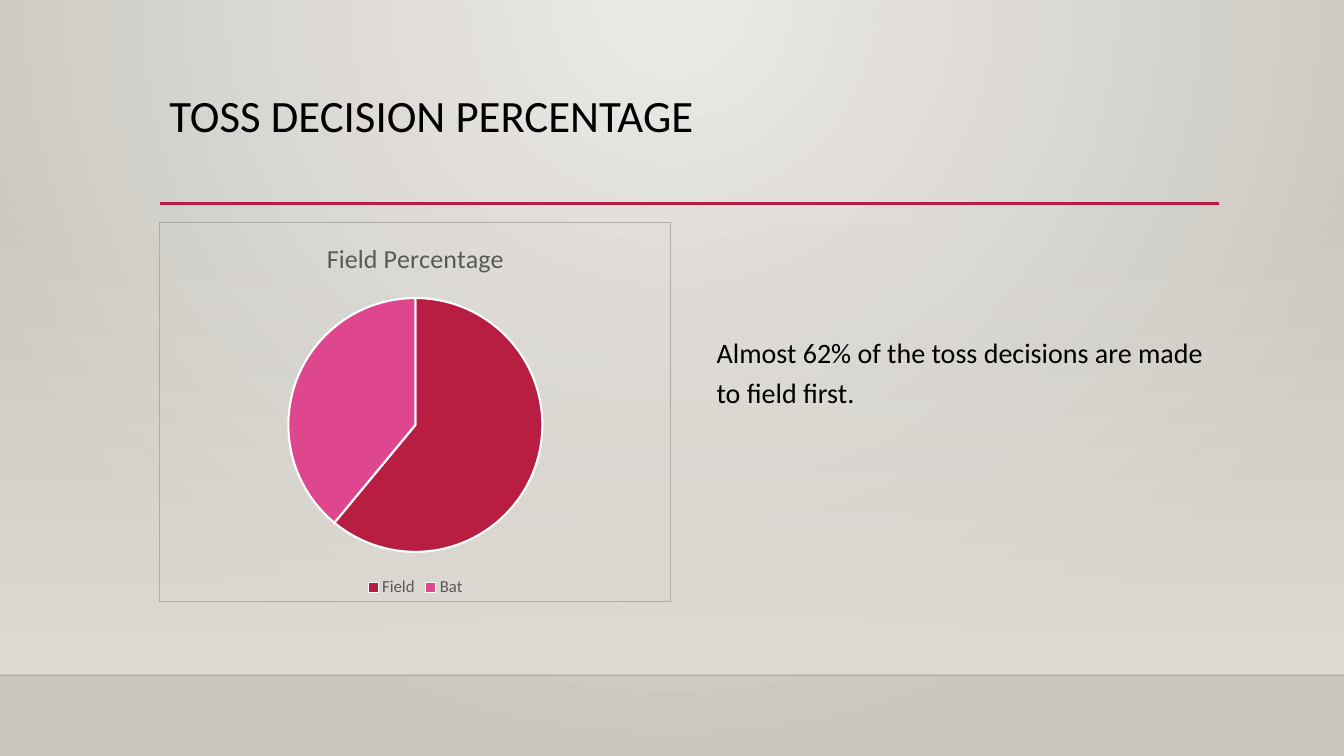
"""Build the toss decision slide with its pie chart and takeaway."""
from lxml import etree
from pptx import Presentation
from pptx import util as u
from pptx.chart.data import CategoryChartData
from pptx.dml.color import RGBColor
from pptx.enum import chart as ch, shapes, text
from pptx.oxml import parse_xml
from pptx.oxml.ns import nsdecls, qn


def colour(hex_code):
    return RGBColor.from_string(hex_code)


class Slide:
    font = "Calibri"
    ink = "000000"
    grey = "595959"
    accent = "B71E42"

    def __init__(self, deck):
        self.slide = deck.slides.add_slide(deck.slide_layouts[5])

    def style(self, font, size, hex_code):
        font.name, font.size = self.font, u.Pt(size)
        font.color.rgb = colour(hex_code)

    def gradient(self, fill, *hex_codes):
        fill.gradient()
        for position, (stop, hex_code) in enumerate(zip(fill.gradient_stops, hex_codes)):
            stop.color.rgb = colour(hex_code)
            stop.position = position

    def alpha(self, element, percent):
        tint = next(element.iter(qn("a:srgbClr")))
        etree.SubElement(tint, qn("a:alpha")).set("val", str(percent * 1000))

    def backdrop(self, centre, edge):
        self.gradient(self.slide.background.fill, centre, edge)
        grad = next(self.slide.element.iter(qn("a:gradFill")))
        grad.replace(grad.find(qn("a:lin")), parse_xml(
            f'<a:path {nsdecls("a")} path="circle">'
            '<a:fillToRect l="43000" t="0" r="43000" b="100000"/></a:path>'))

    def haze(self, hex_code, *box):
        haze = self.slide.shapes.add_shape(shapes.MSO_SHAPE.RECTANGLE, *map(u.Pt, box))
        haze.shadow.inherit = False
        haze.line.fill.background()
        self.gradient(haze.fill, hex_code, hex_code)
        haze.fill.gradient_angle = 270
        self.alpha(haze.element.spPr, 0)

    def rule(self, left, right, y, hex_code, width, opacity=100):
        rule = self.slide.shapes.add_connector(
            shapes.MSO_CONNECTOR.STRAIGHT, *map(u.Pt, (left, y, right, y)))
        rule.line.color.rgb = colour(hex_code)
        rule.line.width = u.Pt(width)
        if opacity < 100:
            self.alpha(rule.element.spPr, opacity)
        etree.SubElement(rule.element.spPr, qn("a:effectLst"))

    def set_words(self, shape, words, size, spacing):
        frame = shape.text_frame
        frame.text = words
        frame.word_wrap = True
        frame.auto_size = text.MSO_AUTO_SIZE.NONE
        frame.vertical_anchor = text.MSO_ANCHOR.TOP
        line = frame.paragraphs[0]
        line.alignment = text.PP_ALIGN.LEFT
        line.line_spacing = spacing
        self.style(line.runs[0].font, size, self.ink)

    def title(self, words, *box):
        title = self.slide.shapes.title
        title.left, title.top, title.width, title.height = map(u.Pt, box)
        self.set_words(title, words, 32, 0.9)

    def body(self, words, *box):
        self.set_words(self.slide.shapes.add_textbox(*map(u.Pt, box)), words, 20, 1.2)

    def pie(self, heading, shares, slice_colours, border, *box):
        data = CategoryChartData()
        data.categories = list(shares)
        data.add_series(heading, list(shares.values()))
        chart = self.slide.shapes.add_chart(
            ch.XL_CHART_TYPE.PIE, *map(u.Pt, box), data).chart
        self.style(chart.font, 10, self.ink)
        chart.has_title = True
        chart.chart_title.text_frame.text = heading
        heading_font = chart.chart_title.text_frame.paragraphs[0].runs[0].font
        self.style(heading_font, 18.6, self.grey)
        heading_font.bold = False
        chart.has_legend = True
        chart.legend.position = ch.XL_LEGEND_POSITION.BOTTOM
        chart.legend.include_in_layout = False
        self.style(chart.legend.font, 12, self.grey)
        plot = chart.plots[0]
        plot.vary_by_categories = True
        for index, hex_code in enumerate(slice_colours):
            wedge = plot.series[0].points[index].format
            wedge.fill.solid()
            wedge.fill.fore_color.rgb = colour(hex_code)
            wedge.line.color.rgb = colour("FFFFFF")
            wedge.line.width = u.Pt(1.5)
        space = chart.element
        space.find(qn("c:chart")).addnext(parse_xml(
            f'<c:spPr {nsdecls("c", "a")}><a:noFill/><a:ln w="9525"><a:solidFill>'
            f'<a:srgbClr val="{border}"/></a:solidFill></a:ln></c:spPr>'))
        area = next(space.iter(qn("c:plotArea")))
        for layout in area.findall(qn("c:layout")):
            area.remove(layout)
        area.insert(0, parse_xml(
            f'<c:layout {nsdecls("c")}><c:manualLayout><c:layoutTarget val="inner"/>'
            '<c:xMode val="edge"/><c:yMode val="edge"/><c:x val="0.25"/><c:y val="0.2"/>'
            '<c:w val="0.5"/><c:h val="0.67"/></c:manualLayout></c:layout>'))


def main():
    deck = Presentation()
    deck.slide_width, deck.slide_height = u.Pt(960), u.Pt(540)
    toss = Slide(deck)
    toss.backdrop("ECEAE7", "CAC7C1")
    toss.haze("DFDBD5", 0, 159, 960, 323.4)
    toss.rule(0, 960, 482.4, "000001", 1, 20)
    toss.rule(114.3, 871, 145.3, toss.accent, 2.5)
    toss.title("TOSS DECISION PERCENTAGE", 113.8, 63.4, 756, 83.5)
    toss.pie("Field Percentage", {"Field": 61, "Bat": 39}, (toss.accent, "DE478E"),
             "B0ADA6", 113.8, 158.4, 365.8, 271.4)
    toss.body("Almost 62% of the toss decisions are made to field first.",
              504.8, 231, 365.8, 66)
    deck.save("out.pptx")


if __name__ == "__main__":
    main()
